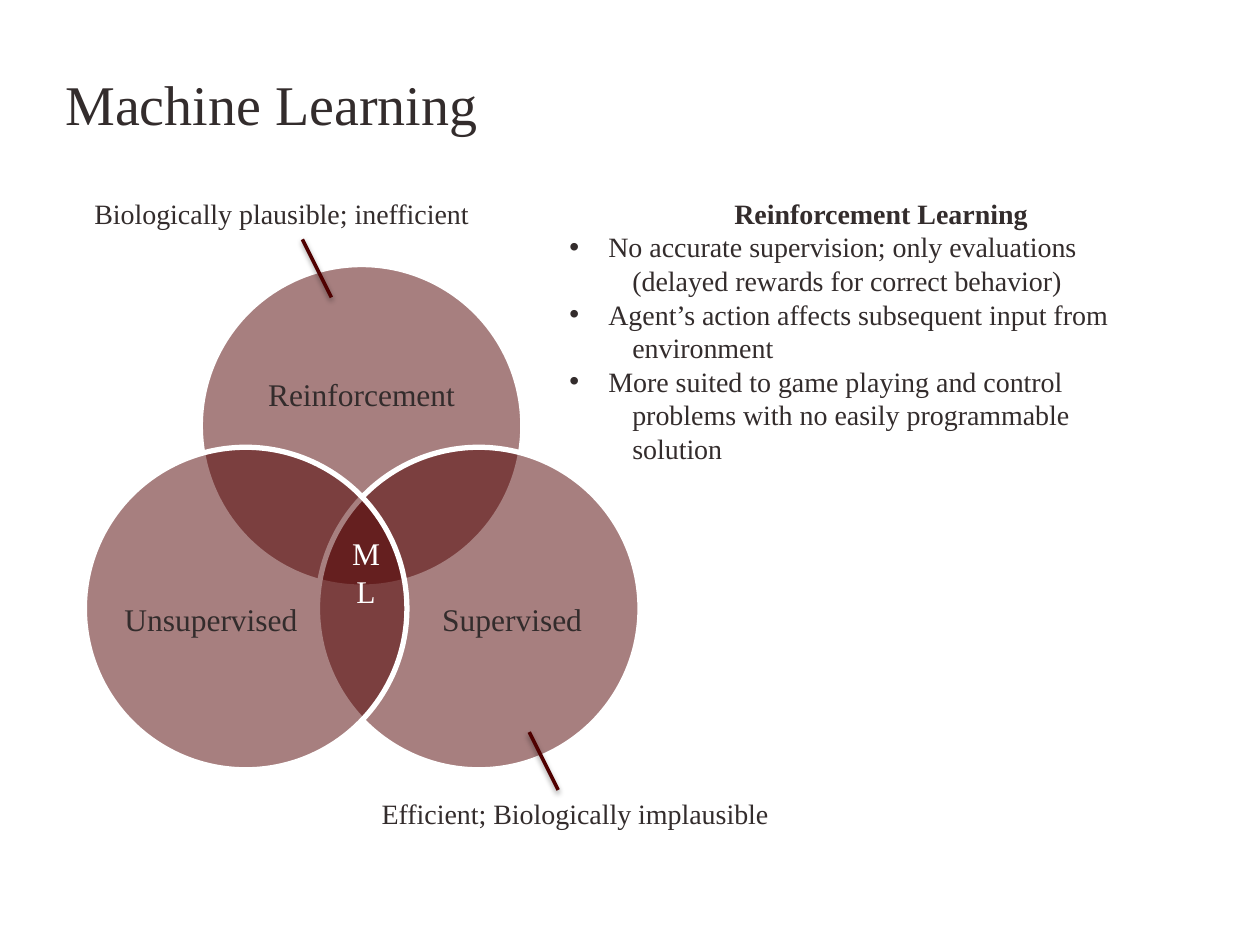
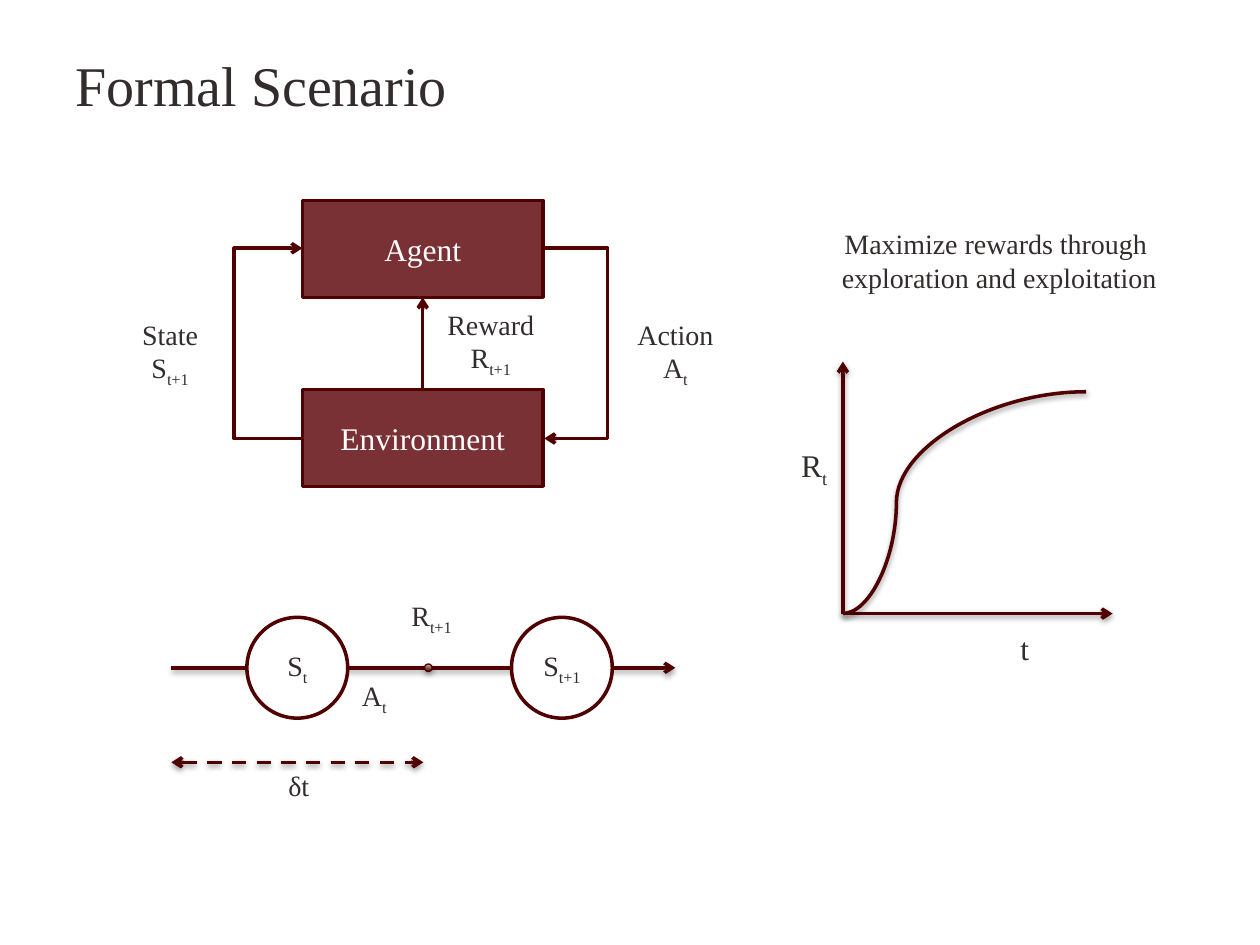
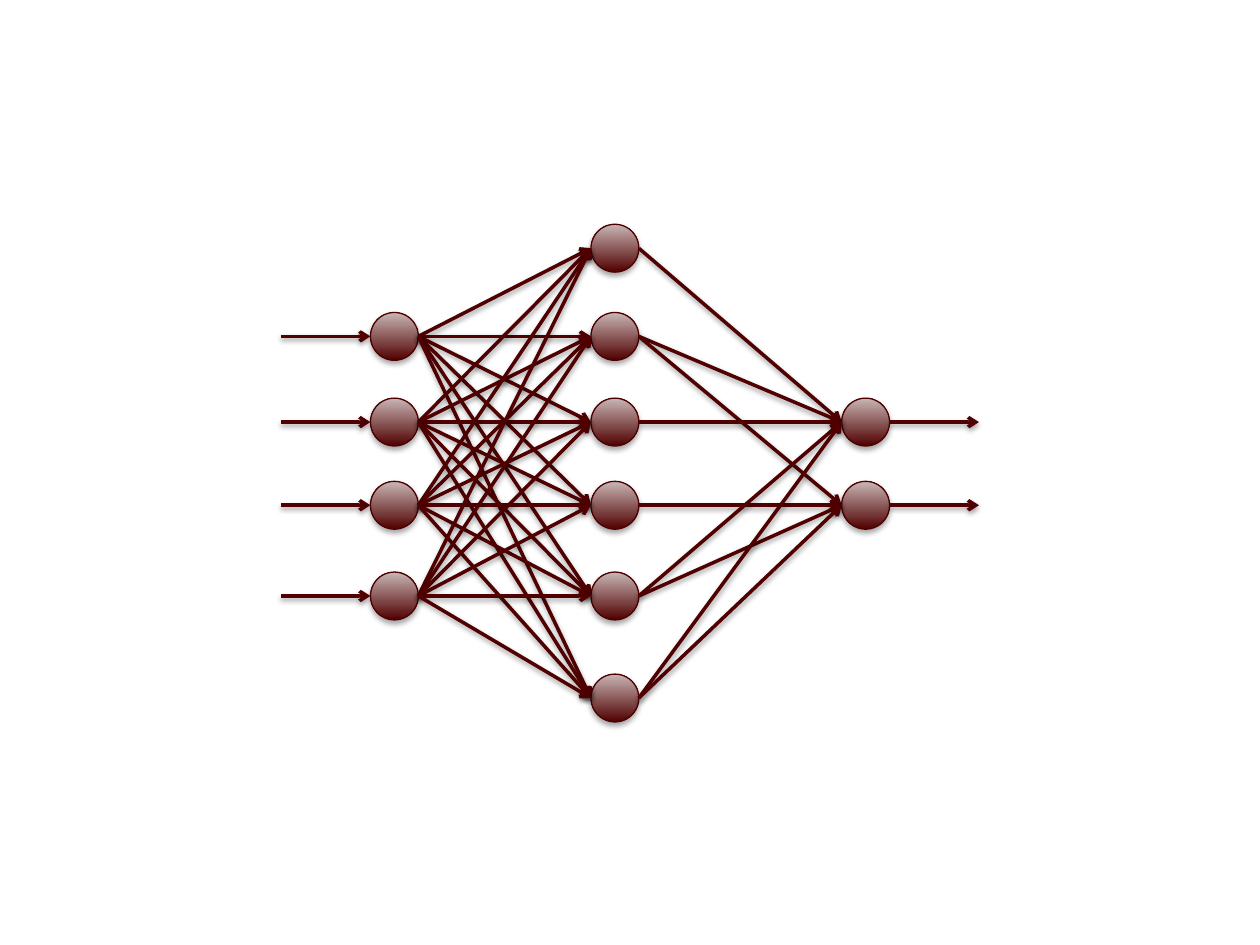
"""Build three slides on reinforcement learning."""
from dataclasses import dataclass
from itertools import product

from lxml import etree
from pptx import Presentation
from pptx import slide as sl
from pptx import util as u
from pptx.dml import color
from pptx.enum import dml, shapes, text
from pptx.oxml import ns

INK = color.RGBColor(0x33, 0x2C, 0x2C)
WHITE = color.RGBColor(0xFF, 0xFF, 0xFF)
MAROON = color.RGBColor(0x50, 0x00, 0x00)
BRICK = color.RGBColor(0x7A, 0x31, 0x35)
ROSE = color.RGBColor(0xC9, 0xB6, 0xB6)
RIM = color.RGBColor(0x4E, 0x00, 0x00)
FONT = "Times New Roman"
LEFT, MID = text.PP_ALIGN.LEFT, text.PP_ALIGN.CENTER
TOP, CORE = text.MSO_ANCHOR.TOP, text.MSO_ANCHOR.MIDDLE
RECT, OVAL = shapes.MSO_SHAPE.RECTANGLE, shapes.MSO_SHAPE.OVAL
KIND = shapes.MSO_CONNECTOR
Box = tuple[float, float, float, float]
Point = tuple[float, float]


@dataclass
class Style:
    """Look of a block of text."""
    size: float = 16
    ink: color.RGBColor = INK
    align: text.PP_ALIGN = LEFT
    anchor: text.MSO_ANCHOR = TOP
    wrap: bool = False
    grow: bool = True
    inset: bool = True


@dataclass
class Label:
    """Text in a box; an underscore starts a subscript."""
    words: str
    box: Box
    style: Style


@dataclass
class Line:
    """Connector with optional arrowheads, dashes and shadow."""
    start: Point
    end: Point
    kind: KIND = KIND.STRAIGHT
    head: bool = False
    tail: bool = False
    dash: bool = False
    shade: bool = True
    bend: float | None = None


@dataclass
class Item:
    """Paragraph with its left margin and an optional bullet."""
    words: str
    margin: float
    bullet: bool = False
    bold: bool = False


TITLE = Style(32, anchor=CORE, wrap=True, grow=False)
NOTE = Style()
NAME = Style(align=MID)
AXIS = Style(18)
CENTRE = Style(18, WHITE, MID, wrap=True)
FIELD = Style(18, align=MID, anchor=CORE, wrap=True, grow=False, inset=False)
BLOCK = Style(18, WHITE, MID, CORE, wrap=True, grow=False)
STATE = Style(16, INK, MID, CORE, wrap=True, grow=False)


def inches(*sizes: float) -> list[u.Length]:
    """Turn numbers into lengths."""
    return [u.Inches(size) for size in sizes]


def sub(node: etree._Element, tag: str, **attrs: str) -> etree._Element:
    """Append a drawing element."""
    return etree.SubElement(node, ns.qn(f"a:{tag}"), attrs)


def shadow(effects: etree._Element, dist: int, alpha: int) -> None:
    """Add a soft shadow that falls straight down."""
    outer = sub(effects, "outerShdw", blurRad="40000", dist=str(dist),
                dir="5400000", rotWithShape="0")
    sub(sub(outer, "srgbClr", val="000000"), "alpha", val=str(alpha))


def write(frame, words: str, style: Style) -> None:
    """Fill a text frame, one paragraph a line."""
    frame.word_wrap = style.wrap
    frame.vertical_anchor = style.anchor
    if style.grow:
        frame.auto_size = text.MSO_AUTO_SIZE.SHAPE_TO_FIT_TEXT
    if not style.inset:
        frame.margin_left = frame.margin_right = 0
        frame.margin_top = frame.margin_bottom = 0
    for i, line in enumerate(words.split("\n")):
        para = frame.add_paragraph() if i else frame.paragraphs[0]
        para.alignment = style.align
        para.font.name, para.font.size = FONT, u.Pt(style.size)
        para.font.color.rgb = style.ink
        base, _, low = line.partition("_")
        para.add_run().text = base
        if low:
            run = para.add_run()
            run.text = low
            run._r.get_or_add_rPr().set("baseline", "-25000")


def put(page: sl.Slide, label: Label) -> None:
    """Place a label."""
    shape = page.shapes.add_textbox(*inches(*label.box))
    write(shape.text_frame, label.words, label.style)


def form(page: sl.Slide, kind: shapes.MSO_SHAPE, box: Box, fill: color.RGBColor,
         edge: color.RGBColor, width: float):
    """Place a filled and outlined shape."""
    shape = page.shapes.add_shape(kind, *inches(*box))
    shape.shadow.inherit = False
    shape.fill.solid()
    shape.fill.fore_color.rgb = fill
    shape.line.color.rgb = edge
    shape.line.width = u.Pt(width)
    return shape


def block(page: sl.Slide, kind: shapes.MSO_SHAPE, label: Label, fill: color.RGBColor):
    """Place a shape that holds a label."""
    shape = form(page, kind, label.box, fill, MAROON, 2)
    write(shape.text_frame, label.words, label.style)
    return shape


def ball(page: sl.Slide, left: float, top: float, size: float) -> None:
    """Place a shaded ball."""
    shape = form(page, OVAL, (left, top, size, size), MAROON, RIM, 0.75)
    shape.fill.gradient()
    shape.fill.gradient_angle = 90
    for stop, tone in zip(shape.fill.gradient_stops, (MAROON, ROSE)):
        stop.color.rgb = tone
    shadow(shape._element.spPr.find(ns.qn("a:effectLst")), 23000, 35000)


def draw(page: sl.Slide, line: Line):
    """Place a connector."""
    link = page.shapes.add_connector(line.kind, *inches(*line.start, *line.end))
    link.line.color.rgb = MAROON
    link.line.width = u.Pt(2)
    if line.dash:
        link.line.dash_style = dml.MSO_LINE.DASH
    props = link._element.spPr
    stroke = props.find(ns.qn("a:ln"))
    for tag, wanted in (("headEnd", line.head), ("tailEnd", line.tail)):
        if wanted:
            sub(stroke, tag, type="arrow")
    effects = sub(props, "effectLst")
    if line.shade:
        shadow(effects, 20000, 38000)
    if line.bend is not None:
        guides = props.find(ns.qn("a:prstGeom")).get_or_add_avLst()
        sub(guides, "gd", name="adj1", fmla=f"val {round(line.bend * 100000)}")
    return link


def listing(page: sl.Slide, box: Box, items: list[Item]) -> None:
    """Place indented paragraphs, some with bullets."""
    frame = page.shapes.add_textbox(*inches(*box)).text_frame
    write(frame, "\n".join(item.words for item in items), Style(wrap=True))
    for para, item in zip(frame.paragraphs, items):
        para.font.bold = item.bold
        props = para._p.get_or_add_pPr()
        margin = str(u.Inches(item.margin))
        props.set("marL", margin)
        props.set("indent", f"-{margin}" if item.bullet else "0")
        if item.bullet:
            mark = etree.Element(ns.qn("a:buFont"), typeface="Arial")
            char = etree.Element(ns.qn("a:buChar"), char="•")
            props.insert(0, mark)
            props.insert(1, char)


def learning(page: sl.Slide) -> None:
    """Draw the three kinds of machine learning."""
    size = 2.56
    fields = [
        (1.59, 2.1, Label("Reinforcement", (1.93, 2.55, 1.88, 1.15), FIELD)),
        (2.52, 3.55, Label("Supervised", (3.3, 4.21, 1.53, 1.41), FIELD)),
        (0.67, 3.55, Label("Unsupervised", (0.91, 4.21, 1.53, 1.41), FIELD)),
    ]
    for left, top, label in fields:
        disc = form(page, OVAL, (left, top, size, size), MAROON, WHITE, 3)
        tone = disc._element.spPr.find(f"{ns.qn('a:solidFill')}/{ns.qn('a:srgbClr')}")
        sub(tone, "alpha", val="50000")
        put(page, label)
    put(page, Label("ML", (2.63, 4.19, 0.55, 0.4), CENTRE))
    listing(page, (4.42, 1.51, 4.76, 2.26), [
        Item("Reinforcement Learning", 1.31, bold=True),
        Item("No accurate supervision; only evaluations", 0.31, True),
        Item("(delayed rewards for correct behavior)", 0.5),
        Item("Agent’s action affects subsequent input from", 0.31, True),
        Item("environment", 0.5),
        Item("More suited to game playing and control", 0.31, True),
        Item("problems with no easily programmable", 0.5),
        Item("solution", 0.5),
    ])
    put(page, Label("Efficient; Biologically implausible", (2.93, 6.27, 3.39, 0.37), NOTE))
    put(page, Label("Biologically plausible; inefficient", (0.65, 1.51, 3.31, 0.37), NOTE))
    put(page, Label("Machine Learning", (0.42, 0.6, 3.64, 0.44), TITLE))
    for x, y in ((2.4, 1.9), (4.2, 5.81)):
        draw(page, Line((x + 0.23, y + 0.46), (x, y)))


def scenario(page: sl.Slide) -> None:
    """Draw the agent loop, the time line and the reward curve."""
    draw(page, Line((1.36, 5.3), (5.36, 5.3), tail=True))
    put(page, Label("Formal Scenario", (0.5, 0.36, 9, 0.62), TITLE))
    agent, world = (
        block(page, RECT, Label(words, (2.4, top, 1.91, 0.77), BLOCK), BRICK)
        for words, top in (("Agent", 1.59), ("Environment", 3.09)))
    for x, bend, turn in ((2.4, 56, "10800000"), (4.31, 52, "0")):
        loop = draw(page, Line((x, 1.97), (x + 0.01, 3.48), KIND.ELBOW,
                               tail=True, shade=False, bend=bend))
        loop._element.spPr.find(ns.qn("a:xfrm")).set("rot", turn)
    reward = draw(page, Line((3.35, 3.09), (3.35, 2.36), tail=True, shade=False))
    reward.begin_connect(world, 0)
    reward.end_connect(agent, 2)
    for words, left in (("S_t", 1.96), ("S_t+1", 4.06)):
        block(page, OVAL, Label(words, (left, 4.9, 0.8, 0.8), STATE), WHITE)
    ball(page, 3.37, 5.27, 0.06)
    lines = [
        Line((1.36, 6.05), (3.36, 6.05), head=True, tail=True, dash=True),
        Line((6.69, 4.87), (6.69, 2.87), tail=True),
        Line((6.69, 4.87), (8.83, 4.87), tail=True),
        Line((6.69, 4.87), (8.62, 3.11), KIND.CURVE, bend=0.22),
    ]
    for line in lines:
        draw(page, line)
    labels = [
        Label("State\nS_t+1", (1.01, 2.47, 0.68, 0.64), NAME),
        Label("Action\nA_t", (4.95, 2.47, 0.82, 0.64), NAME),
        Label("Reward\nR_t+1", (3.42, 2.39, 0.95, 0.64), NAME),
        Label("A_t", (2.77, 5.34, 0.4, 0.37), NAME),
        Label("R_t+1", (3.13, 4.7, 0.59, 0.37), NAME),
        Label("δt", (2.19, 6.05, 0.4, 0.37), NOTE),
        Label("R_t", (6.26, 3.49, 0.43, 0.4), AXIS),
        Label("t", (8, 4.94, 0.29, 0.4), AXIS),
        Label("Maximize rewards through \nexploration and exploitation",
              (6.47, 1.75, 2.92, 0.64), NAME),
    ]
    for label in labels:
        put(page, label)


def network(page: sl.Slide) -> None:
    """Draw a network with one hidden layer."""
    size, reach = 0.38, 0.71
    rows = [1.97, 2.67, 3.35, 4.01, 4.73, 5.54]
    first, hidden, last = 2.94, 4.69, 6.68
    inner, outer = rows[1:5], rows[2:4]
    for left, layer in ((first, inner), (hidden, rows), (last, outer)):
        for y in layer:
            ball(page, left, y - size / 2, size)
    pairs = [(0, 2), (1, 2), (1, 3), (2, 2), (3, 3), (4, 2), (4, 3), (5, 2), (5, 3)]
    links = [((first + size, a), (hidden, b)) for a, b in product(inner, rows)]
    links += [((hidden + size, rows[a]), (last, rows[b])) for a, b in pairs]
    links += [((first - reach, y), (first, y)) for y in inner]
    links += [((last + size, y), (last + size + reach, y)) for y in outer]
    for start, end in links:
        draw(page, Line(start, end, tail=True))


def main() -> None:
    """Build and save the slides."""
    deck = Presentation()
    deck.slide_width, deck.slide_height = inches(10, 7.5)
    for build in (learning, scenario, network):
        build(deck.slides.add_slide(deck.slide_layouts[6]))
    deck.save("out.pptx")


if __name__ == "__main__":
    main()
